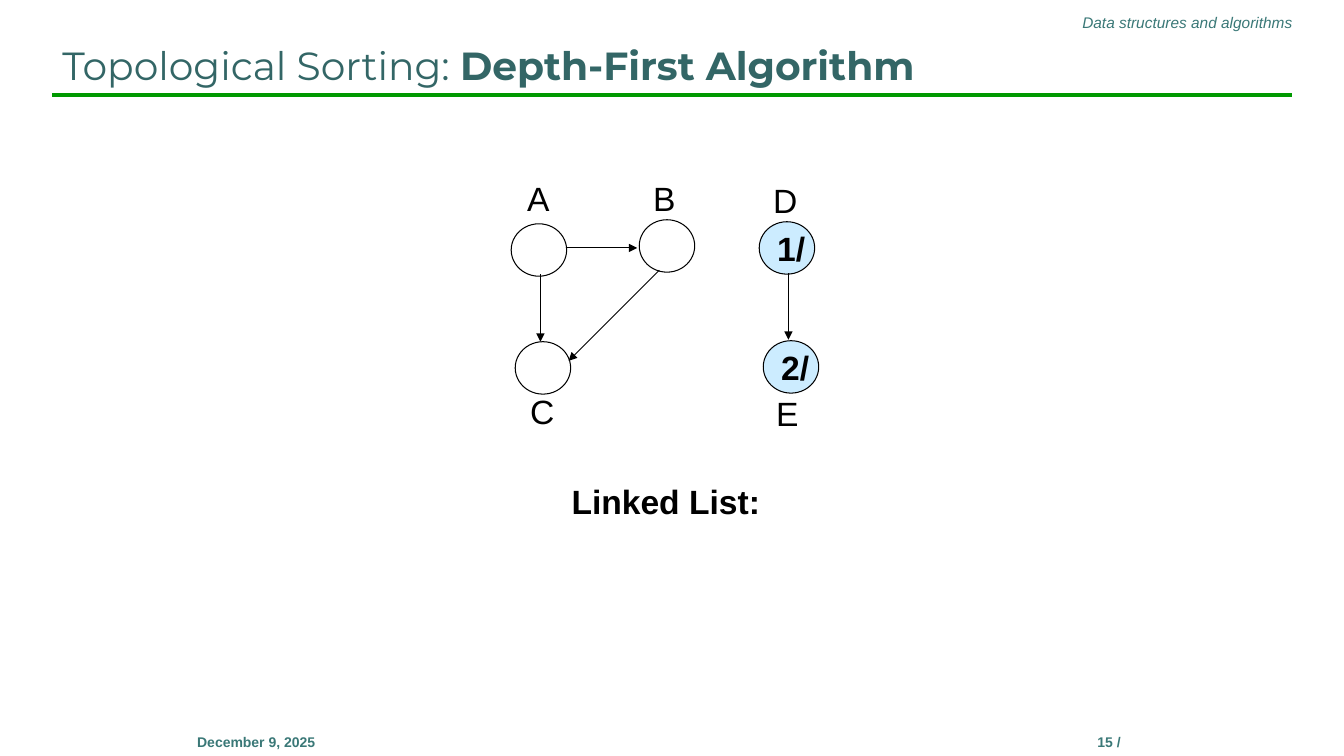
from pptx import Presentation
from pptx.dml.color import RGBColor
from pptx.enum.shapes import MSO_CONNECTOR, MSO_SHAPE
from pptx.enum.text import MSO_ANCHOR, PP_ALIGN
from pptx.oxml.ns import qn
from pptx.util import Inches, Pt
from lxml import etree

STRAIGHT = MSO_CONNECTOR.STRAIGHT
ELLIPSE = MSO_SHAPE.OVAL
TOP, BOTTOM = MSO_ANCHOR.TOP, MSO_ANCHOR.BOTTOM
LEFT, CENTER, RIGHT = PP_ALIGN.LEFT, PP_ALIGN.CENTER, PP_ALIGN.RIGHT

BLACK, TEAL, TITLE_TEAL = "000000", "3A7877", "336666"
GREEN, VISITED = "009900", "CCECFF"
NODE_WIDTH, NODE_HEIGHT = 0.55, 0.52

# name: node left, node top, label left, label top, label width, time left, time
NODES = {
    "A": ((0, 0.5), (0.06, 0, 0.44), None),
    "B": ((1.27, 0.46), (1.31, 0, 0.42), None),
    "C": ((0.04, 1.67), (0.09, 2.11, 0.45), None),
    "D": ((2.46, 0.48), (2.5, 0.02, 0.44), "1/"),
    "E": ((2.5, 1.66), (2.53, 2.13, 0.43), "2/"),
}
EDGES = [
    ((0.29, 1), (0.29, 1.67)),
    ((0.54, 0.74), (1.25, 0.74)),
    ((1.47, 0.96), (0.57, 1.86)),
    ((2.75, 0.99), (2.75, 1.65)),
]


def color(value):
    return RGBColor.from_string(value)


def add_text(slide, box, text, size=24, font="Arial", fill=BLACK, bold=False,
             italic=False, align=LEFT, anchor=TOP, wrap=True):
    shape = slide.shapes.add_textbox(*map(Inches, box))
    frame = shape.text_frame
    frame.word_wrap = wrap
    frame.vertical_anchor = anchor
    paragraph = frame.paragraphs[0]
    paragraph.alignment = align
    runs = [(text, bold)] if isinstance(text, str) else text
    for words, weight in runs:
        run = paragraph.add_run()
        run.text = words
        run.font.size = Pt(size)
        run.font.name = font
        run.font.bold = weight
        run.font.italic = italic
        run.font.color.rgb = color(fill)
    return shape


def add_line(slide, start, end, stroke=BLACK, width=0.75, arrow=False):
    connector = slide.shapes.add_connector(
        STRAIGHT, *map(Inches, (*start, *end)))
    connector.line.color.rgb = color(stroke)
    connector.line.width = Pt(width)
    if arrow:
        outline = connector.line._get_or_add_ln()
        etree.SubElement(outline, qn("a:tailEnd"), type="triangle")
    etree.SubElement(connector._element.spPr, qn("a:effectLst"))


def add_node(slide, left, top, fill=None):
    node = slide.shapes.add_shape(
        ELLIPSE, *map(Inches, (left, top, NODE_WIDTH, NODE_HEIGHT)))
    node.shadow.inherit = False
    node.line.color.rgb = color(BLACK)
    node.line.width = Pt(0.75)
    if fill:
        node.fill.solid()
        node.fill.fore_color.rgb = color(fill)
    else:
        node.fill.background()


def add_header(slide, left, top, width, height):
    rule = top + height + 0.01
    add_line(slide, (left, rule), (left + width, rule), GREEN, 3)
    add_text(slide, (left, top - 0.15, width + 0.11, 0.29),
             "Data structures and algorithms",
             size=11, fill=TEAL, italic=True, align=RIGHT)
    add_text(slide, (left, top, width, height),
             [("Topological Sorting: ", False), ("Depth-First Algorithm", True)],
             size=28, font="Montserrat", fill=TITLE_TEAL, anchor=BOTTOM)


def add_graph(slide, left, top):
    for name, (node, label, time) in NODES.items():
        node_left, node_top = left + node[0], top + node[1]
        label_left, label_top, label_width = label
        add_node(slide, node_left, node_top, VISITED if time else None)
        add_text(slide, (left + label_left, top + label_top, label_width, 0.5),
                 name, wrap=False)
        if time:
            add_text(slide, (node_left + 0.08, node_top + 0.01, 0.48, 0.5),
                     time, bold=True, wrap=False)
    for start, end in EDGES:
        add_line(slide, (left + start[0], top + start[1]),
                 (left + end[0], top + end[1]), arrow=True)
    add_text(slide, (left + 0.5, top + 3, 2.09, 0.5), "Linked List:",
             bold=True, wrap=False)


def add_footer(slide, left, top, width, height):
    field_width = 3
    fields = [(left, "December 9, 2025"),
              (left + width - field_width, "15 /")]
    for field_left, text in fields:
        add_text(slide, (field_left, top, field_width, height), text,
                 size=10, fill=TEAL, bold=True, align=CENTER)


def main():
    presentation = Presentation()
    presentation.slide_width = Inches(13.33)
    presentation.slide_height = Inches(7.5)
    slide = presentation.slides.add_slide(presentation.slide_layouts[6])
    add_header(slide, 0.52, 0.23, 12.29, 0.7)
    add_graph(slide, 5.07, 1.72)
    add_footer(slide, 1.04, 7.23, 11.46, 0.5)
    presentation.save("out.pptx")


if __name__ == "__main__":
    main()
